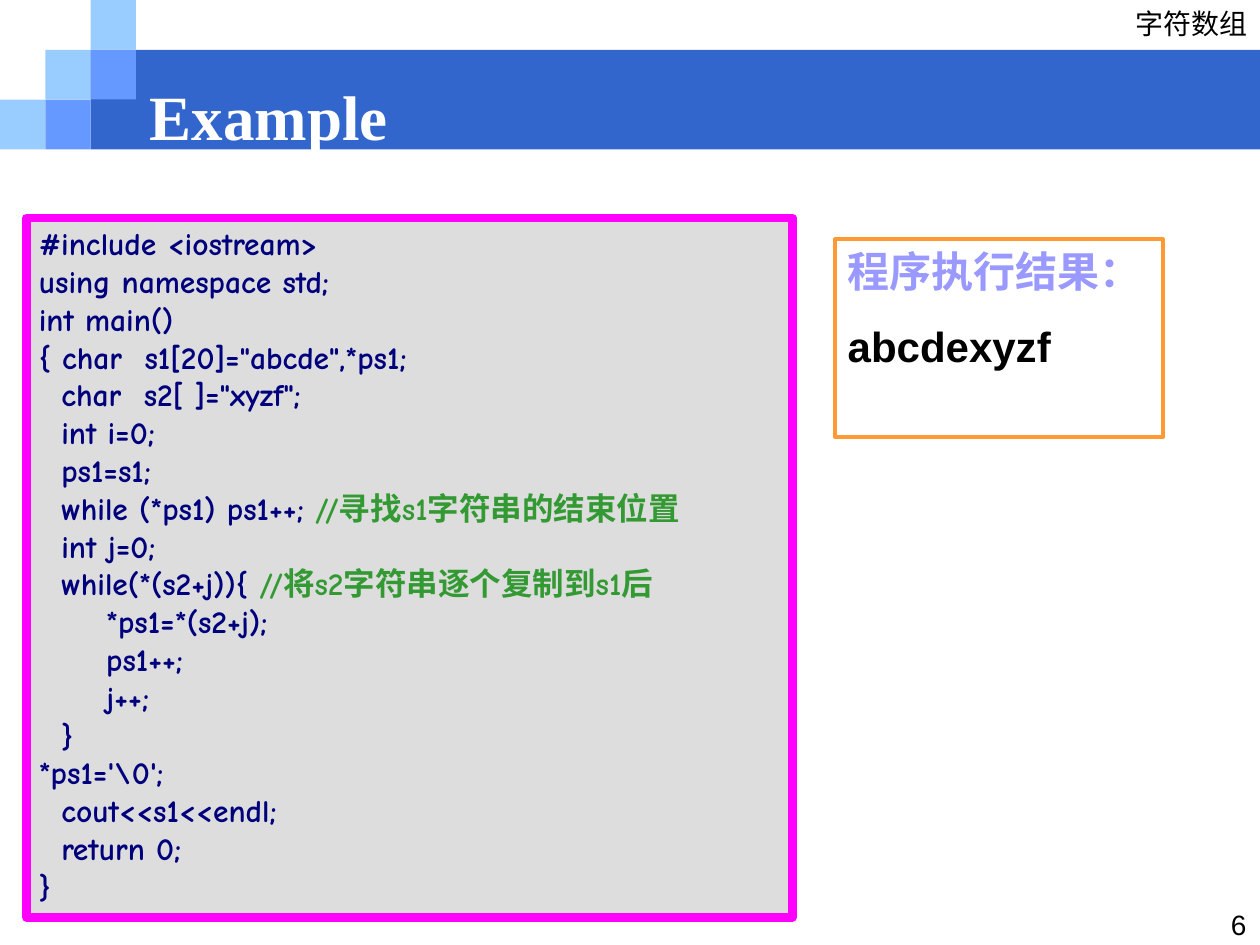
import pptx
import pptx.util
import pptx.dml.color
import pptx.enum.shapes
import pptx.enum.text
import pptx.oxml.ns
import lxml.etree

RGB = pptx.dml.color.RGBColor
BLUE = RGB(0x33, 0x66, 0xCC)
SKY = RGB(0x99, 0xCC, 0xFF)
MID = RGB(0x66, 0x99, 0xFF)
GRAY = RGB(0xDD, 0xDD, 0xDD)
PINK = RGB(0xFF, 0x00, 0xFF)
NAVY = RGB(0x00, 0x00, 0x7D)
GREEN = RGB(0x33, 0x99, 0x33)
AMBER = RGB(0xFF, 0x99, 0x33)
LILAC = RGB(0x99, 0x99, 0xFF)
BLACK = RGB(0, 0, 0)
WHITE = RGB(0xFF, 0xFF, 0xFF)

ALIGN = pptx.enum.text.PP_ALIGN
ANCHOR = pptx.enum.text.MSO_ANCHOR
SIZING = pptx.enum.text.MSO_AUTO_SIZE
HAN = "Noto Sans CJK SC"

CODE = r"""#include <iostream>
using namespace std;
int main()
{ char  s1[20]="abcde",*ps1;
  char  s2[ ]="xyzf";
  int i=0;
  ps1=s1;
  while (*ps1) ps1++; //寻找s1字符串的结束位置
  int j=0;
  while(*(s2+j)){ //将s2字符串逐个复制到s1后
      *ps1=*(s2+j);
      ps1++;
      j++;
  }
*ps1='\0';
  cout<<s1<<endl;
  return 0;
}"""


class Deck:
    """Style and current slide; lengths are cells of a 100 by 75 grid."""

    def __init__(self):
        self.file = pptx.Presentation()
        self.file.slide_width = pptx.util.Inches(10)
        self.file.slide_height = pptx.util.Inches(7.5)
        self.slide = self.file.slides.add_slide(self.file.slide_layouts[5])

    def place(self, *cells):
        """Turn left, top, width and height in cells into lengths."""
        col, row = self.file.slide_width / 100, self.file.slide_height / 75
        return [round(n * size) for n, size in zip(cells, (col, row, col, row))]

    def rect(self, cells, fill=None, line=None, width=1):
        kind = pptx.enum.shapes.MSO_SHAPE.RECTANGLE
        shape = self.slide.shapes.add_shape(kind, *self.place(*cells))
        shape.shadow.inherit = False
        if fill is None:
            shape.fill.background()
        else:
            shape.fill.solid()
            shape.fill.fore_color.rgb = fill
        if line is None:
            shape.line.fill.background()
        else:
            shape.line.color.rgb = line
            shape.line.width = pptx.util.Pt(width)
        return shape

    def label(self, cells, text, form, wrap=True):
        box = self.slide.shapes.add_textbox(*self.place(*cells))
        self.set_text(box, [[(text, BLACK)]], form, align=ALIGN.RIGHT, wrap=wrap)

    def title(self, cells, text, form):
        head = self.slide.shapes.title
        head.left, head.top, head.width, head.height = self.place(*cells)
        self.set_text(head, [[(text, WHITE)]], form, anchor=ANCHOR.MIDDLE)
        # Bring the title in front of the band
        head.element.getparent().append(head.element)

    def set_text(self, shape, lines, form, align=ALIGN.LEFT, anchor=ANCHOR.TOP,
                 wrap=True, gap=0, hang=0):
        """Fill a shape with lines, each a list of (text, colour) runs."""
        frame = shape.text_frame
        look = dict(word_wrap=wrap, vertical_anchor=anchor, auto_size=SIZING.NONE)
        for name, value in look.items():
            setattr(frame, name, value)
        for i, line in enumerate(lines):
            par = frame.add_paragraph() if i else frame.paragraphs[0]
            par.alignment = align
            if gap and i:
                par.space_before = pptx.util.Pt(gap)
            if hang:
                step = pptx.util.Inches(hang)
                props = par._p.get_or_add_pPr()
                props.set("marL", str(step))
                props.set("indent", str(-step))
            for text, color in line:
                run = par.add_run()
                run.text = text
                for name, value in form.items():
                    setattr(run.font, name, value)
                run.font.color.rgb = color
                east = lxml.etree.SubElement(
                    run._r.get_or_add_rPr(), pptx.oxml.ns.qn("a:ea"))
                east.set("typeface", HAN)


def form(name, size, bold=False):
    return dict(name=name, size=pptx.util.Pt(size), bold=bold)


def split(line):
    """Colour the comment of a code line apart from its code."""
    code, mark, note = line.partition("//")
    return [(code, NAVY)] + ([(mark + note, GREEN)] if mark else [])


def main():
    deck = Deck()

    # Band and corner tiles
    wide, high = 3.6, 3.95
    deck.rect((2 * wide, high, 100 - 2 * wide, 2 * high), BLUE)
    tiles = [(0, 2, SKY), (1, 1, SKY), (2, 0, SKY), (2, 1, MID), (1, 2, MID)]
    for col, row, color in tiles:
        deck.rect((col * wide, row * high, wide, high), color)

    # Chapter name and page number
    deck.label((89, 0, 11, 3.7), "字符数组", form(HAN, 16), wrap=False)
    deck.label((94.4, 71.5, 5.5, 3.5), "6", form("Arial", 16))

    # Program
    code = deck.rect((2.1, 17.3, 60.8, 55.5), GRAY, PINK, 5)
    deck.set_text(code, [split(line) for line in CODE.split("\n")],
                  form("Comic Neue", 18, True))

    # Program output
    result = deck.rect((66.3, 19, 26, 15.7), None, AMBER, 2.25)
    deck.set_text(result, [[("程序执行结果：", LILAC)], [("abcdexyzf", BLACK)]],
                  form("Arial", 24, True), gap=14, hang=0.38)

    # Title
    deck.title((10.9, 6.5, 80.8, 5.3), "Example",
               form("Times New Roman", 36, True))

    deck.file.save("out.pptx")


if __name__ == "__main__":
    main()
